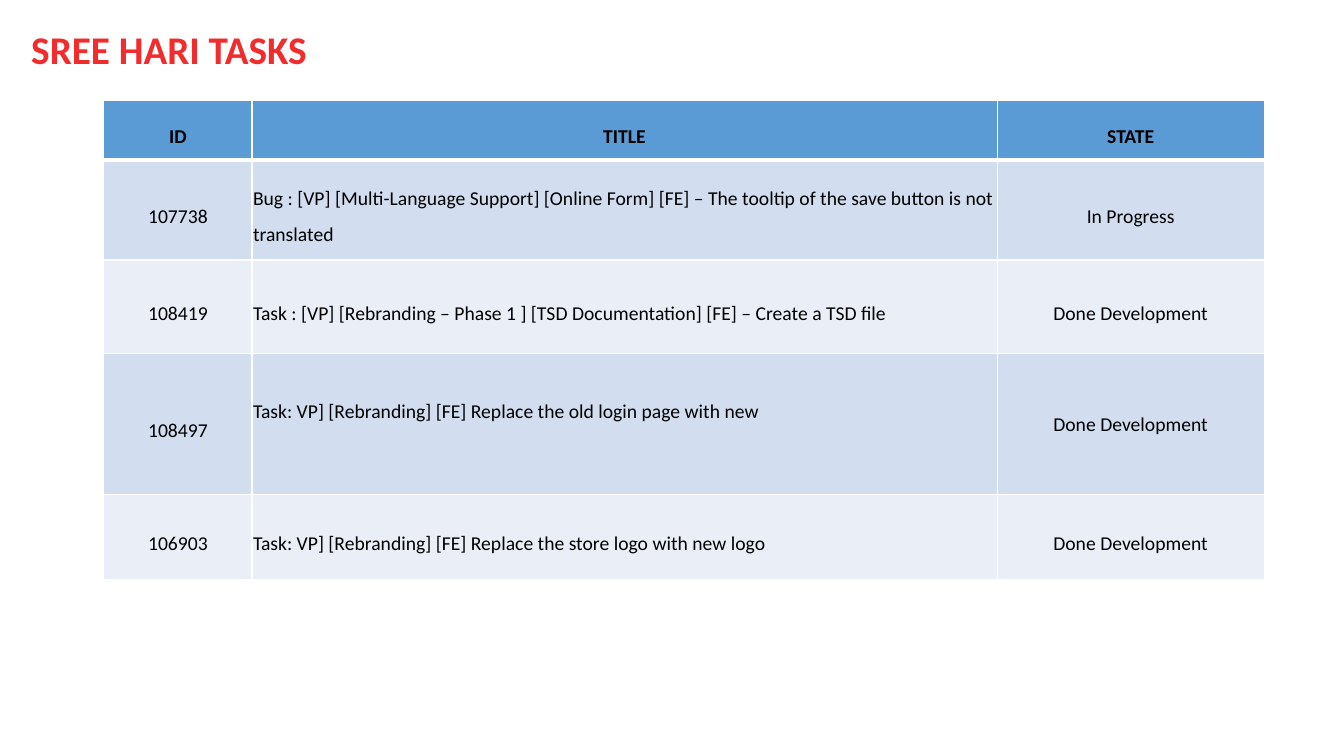
import pptx
import pptx.util
import pptx.dml.color
import pptx.enum.text
import pptx.oxml
import pptx.oxml.ns

Inches, Pt = pptx.util.Inches, pptx.util.Pt
ALIGN = pptx.enum.text.PP_ALIGN
ANCHOR = pptx.enum.text.MSO_ANCHOR
COLORS = {"title": "F22C2C", "head": "5B9BD5", "odd": "D2DEEF",
          "even": "EAEFF7", "text": "000000", "rule": "FFFFFF"}


def style(para, size, color, bold, align):
    """Set the font and alignment of a paragraph."""
    para.alignment = align
    font = para.font
    font.name, font.size, font.bold = "Calibri", Pt(size), bold
    font.color.rgb = pptx.dml.color.RGBColor.from_string(COLORS[color])


def border(cell, top, bottom):
    """Draw white cell borders, with top and bottom widths in points."""
    props = cell._tc.get_or_add_tcPr()
    sides = {"L": 1, "R": 1, "T": top, "B": bottom}
    for spot, (side, width) in enumerate(sides.items()):
        line = pptx.oxml.parse_xml(
            f'<a:ln{side} {pptx.oxml.ns.nsdecls("a")} w="{Pt(width)}">'
            f'<a:solidFill><a:srgbClr val="{COLORS["rule"]}"/></a:solidFill>'
            f'</a:ln{side}>')
        props.insert(spot, line)


deck = pptx.Presentation()
deck.slide_width, deck.slide_height = Inches(13.33), Inches(7.5)
slide = deck.slides.add_slide(deck.slide_layouts[5])

title = slide.shapes.title
title.left, title.top = Inches(0.21), Inches(0.2)
title.width, title.height = Inches(3.56), Inches(0.57)
frame = title.text_frame
frame.text = "SREE HARI TASKS"
frame.word_wrap = True
frame.auto_size = pptx.enum.text.MSO_AUTO_SIZE.NONE
frame.vertical_anchor = ANCHOR.TOP
style(frame.paragraphs[0], 28, "title", True, ALIGN.LEFT)

tasks = [
    ("ID", "TITLE", "STATE"),
    ("107738", "Bug : [VP] [Multi-Language Support] [Online Form] [FE] – "
     "The tooltip of the save button is not translated", "In Progress"),
    ("108419", "Task : [VP] [Rebranding – Phase 1 ] [TSD Documentation] [FE] – "
     "Create a TSD file", "Done Development"),
    ("108497", "Task: VP] [Rebranding] [FE] Replace the old login page with new",
     "Done Development"),
    ("106903", "Task: VP] [Rebranding] [FE] Replace the store logo with new logo",
     "Done Development"),
]
widths = [1.47, 7.39, 2.65]
heights = [0.59, 0.99, 0.93, 1.4, 0.84]
# Bottom margins that raise the text of the tall row
raised = {(3, 1): 0.38, (3, 2): 0.12}

table = slide.shapes.add_table(
    len(tasks), len(widths), Inches(1.03), Inches(1),
    Inches(sum(widths)), Inches(sum(heights))).table
table.horz_banding = False
for col, width in zip(table.columns, widths):
    col.width = Inches(width)
for row, height in zip(table.rows, heights):
    row.height = Inches(height)

for r, task in enumerate(tasks):
    head = r == 0
    shade = "head" if head else "odd" if r % 2 else "even"
    for c, text in enumerate(task):
        cell = table.cell(r, c)
        cell.text = text
        cell.vertical_anchor = ANCHOR.MIDDLE
        cell.margin_left = cell.margin_right = cell.margin_top = Inches(0.01)
        cell.margin_bottom = Inches(raised.get((r, c), 0))
        cell.fill.solid()
        cell.fill.fore_color.rgb = pptx.dml.color.RGBColor.from_string(COLORS[shade])
        border(cell, 3 if r == 1 else 1, 3 if head else 1)
        para = cell.text_frame.paragraphs[0]
        para.line_spacing = 1.5
        left = c == 1 and not head
        style(para, 14, "text", head, ALIGN.LEFT if left else ALIGN.CENTER)

deck.save("out.pptx")
